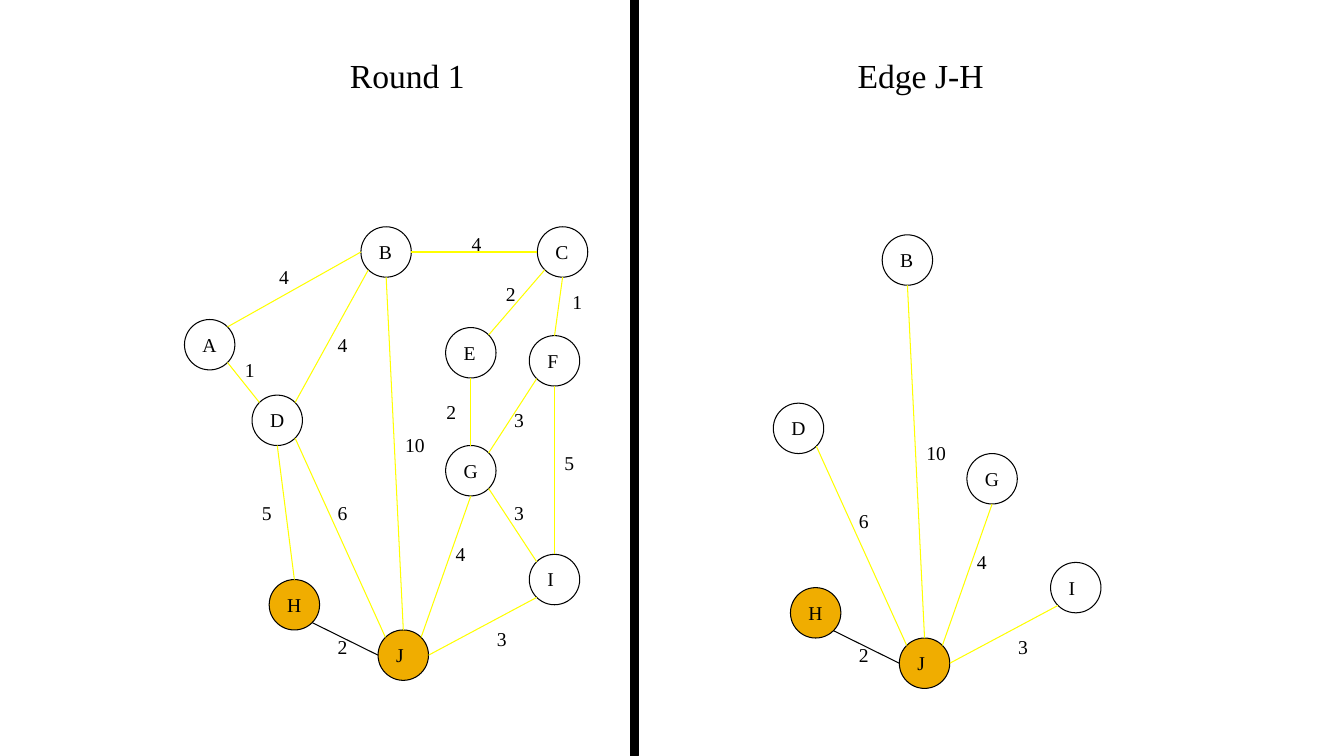
"""Build a slide that shows a weighted graph and the edges which meet node J."""
from dataclasses import dataclass
from math import cos, pi, sin

from lxml import etree
from pptx import Presentation
from pptx.dml.color import RGBColor
from pptx.enum.shapes import MSO_CONNECTOR, MSO_SHAPE
from pptx.enum.text import MSO_AUTO_SIZE, PP_ALIGN
from pptx.oxml.ns import qn
from pptx.shapes.autoshape import Shape
from pptx.shapes.connector import Connector
from pptx.slide import Slide
from pptx.util import Inches, Pt

OVAL = MSO_SHAPE.OVAL
RECT = MSO_SHAPE.RECTANGLE
STRAIGHT = MSO_CONNECTOR.STRAIGHT
GROW = MSO_AUTO_SIZE.SHAPE_TO_FIT_TEXT
LEFT = PP_ALIGN.LEFT
CENTER = PP_ALIGN.CENTER

COLORS = {"ink": "000000", "gold": "F0AD00", "yellow": "FFFF00"}
FONT = "Times New Roman"
SIZE = 0.5
INSET = 0.08
TOP, TOP_LEFT, SIDE_LEFT, LOW_LEFT, LOW, LOW_RIGHT, SIDE_RIGHT, TOP_RIGHT = range(8)


@dataclass(frozen=True)
class Node:
    name: str
    x: float
    y: float
    width: float
    fill: str = ""


@dataclass(frozen=True)
class Edge:
    ends: str
    start: int
    stop: int
    weight: str
    x: float
    y: float
    color: str = "yellow"


@dataclass(frozen=True)
class Panel:
    title: str
    left: float
    dx: float
    dy: float
    nodes: str
    focus: str


NODES = (
    Node("A", 1.83, 3.17, 0.34),
    Node("B", 3.58, 2.25, 0.33),
    Node("C", 5.33, 2.25, 0.33),
    Node("D", 2.5, 3.92, 0.34),
    Node("E", 4.42, 3.25, 0.32),
    Node("F", 5.25, 3.33, 0.31),
    Node("G", 4.42, 4.42, 0.34),
    Node("H", 2.67, 5.75, 0.34, "gold"),
    Node("I", 5.25, 5.5, 0.27),
    Node("J", 3.75, 6.25, 0.28, "gold"),
)
EDGES = (
    Edge("AB", TOP_RIGHT, SIDE_LEFT, "4", 2.67, 2.58),
    Edge("BC", SIDE_RIGHT, SIDE_LEFT, "4", 4.58, 2.25),
    Edge("BD", LOW_LEFT, TOP_RIGHT, "4", 3.25, 3.25),
    Edge("BJ", LOW, TOP, "10", 3.92, 4.25),
    Edge("CE", LOW_LEFT, TOP_RIGHT, "2", 4.92, 2.75),
    Edge("CF", LOW, TOP, "1", 5.58, 2.83),
    Edge("DA", TOP_LEFT, LOW_RIGHT, "1", 2.33, 3.5),
    Edge("DH", LOW, TOP, "5", 2.5, 4.92),
    Edge("DJ", LOW_RIGHT, TOP_LEFT, "6", 3.25, 4.92),
    Edge("EG", LOW, TOP, "2", 4.33, 3.92),
    Edge("FG", LOW_LEFT, TOP_RIGHT, "3", 5, 4),
    Edge("FI", LOW, TOP, "5", 5.5, 4.42),
    Edge("IG", TOP_LEFT, LOW_RIGHT, "3", 5, 4.92),
    Edge("JG", TOP_RIGHT, LOW, "4", 4.42, 5.33),
    Edge("JI", SIDE_RIGHT, LOW_LEFT, "3", 4.83, 6.17),
    Edge("JH", SIDE_LEFT, LOW_RIGHT, "2", 3.25, 6.25, "ink"),
)
PANELS = (
    Panel("Round 1", 2.58, 0, 0, "ABCDEFGHIJ", ""),
    Panel("Edge J-H", 7.67, 5.17, 0.08, "BDGHIJ", "J"),
)


def tint(name: str) -> RGBColor:
    return RGBColor.from_string(COLORS[name])


def write(slide: Slide, text: str, x: float, y: float, width: float, *,
          height: float = 0.33, size: int = 14, wrap: bool = False,
          align: PP_ALIGN = LEFT) -> None:
    box = slide.shapes.add_textbox(Inches(x), Inches(y), Inches(width), Inches(height))
    frame = box.text_frame
    frame.word_wrap = wrap
    frame.auto_size = GROW
    line = frame.paragraphs[0]
    line.alignment = align
    run = line.add_run()
    run.text = text
    run.font.name = FONT
    run.font.size = Pt(size)
    run.font.color.rgb = tint("ink")


def block(slide: Slide, kind: MSO_SHAPE, x: float, y: float, width: float,
          height: float, fill: str) -> Shape:
    shape = slide.shapes.add_shape(kind, Inches(x), Inches(y), Inches(width), Inches(height))
    shape.shadow.inherit = False
    if fill:
        shape.fill.solid()
        shape.fill.fore_color.rgb = tint(fill)
    else:
        shape.fill.background()
    shape.line.color.rgb = tint("ink")
    shape.line.width = Pt(0.75)
    return shape


def rim(oval: Shape, site: int) -> tuple[int, int]:
    turn, half = site * pi / 4, oval.width / 2
    return (round(oval.left + half * (1 - sin(turn))),
            round(oval.top + half * (1 - cos(turn))))


def glue(line: Connector, tag: str, site: int) -> None:
    for mark in line.element.iter(qn(tag)):
        mark.set("idx", str(site))


def link(slide: Slide, edge: Edge, first: Shape, last: Shape) -> None:
    line = slide.shapes.add_connector(STRAIGHT, 0, 0, 0, 0)
    line.begin_connect(first, 0)
    line.end_connect(last, 0)
    line.begin_x, line.begin_y = rim(first, edge.start)
    line.end_x, line.end_y = rim(last, edge.stop)
    glue(line, "a:stCxn", edge.start)
    glue(line, "a:endCxn", edge.stop)
    line.line.color.rgb = tint(edge.color)
    line.line.width = Pt(0.75)
    etree.SubElement(line.element.spPr, qn("a:effectLst"))


def draw(slide: Slide, panel: Panel) -> None:
    nodes = [node for node in NODES if node.name in panel.nodes]
    edges = [edge for edge in EDGES if panel.focus in edge.ends]
    ovals = {node.name: block(slide, OVAL, node.x + panel.dx, node.y + panel.dy,
                              SIZE, SIZE, node.fill) for node in nodes}
    for edge in edges:
        first, last = edge.ends
        link(slide, edge, ovals[first], ovals[last])
    for edge in edges:
        write(slide, edge.weight, edge.x + panel.dx, edge.y + panel.dy,
              0.2 + 0.1 * len(edge.weight))
    for node in nodes:
        write(slide, node.name, node.x + panel.dx + INSET,
              node.y + panel.dy + INSET, node.width)
    write(slide, panel.title, panel.left, 0.5, 2.92, height=0.5, size=24,
          wrap=True, align=CENTER)


def main() -> None:
    deck = Presentation()
    deck.slide_width, deck.slide_height = Inches(13.33), Inches(7.5)
    slide = deck.slides.add_slide(deck.slide_layouts[6])
    block(slide, RECT, 6.25, 0, 0.08, 7.5, "ink")
    for panel in PANELS:
        draw(slide, panel)
    deck.save("out.pptx")


if __name__ == "__main__":
    main()
